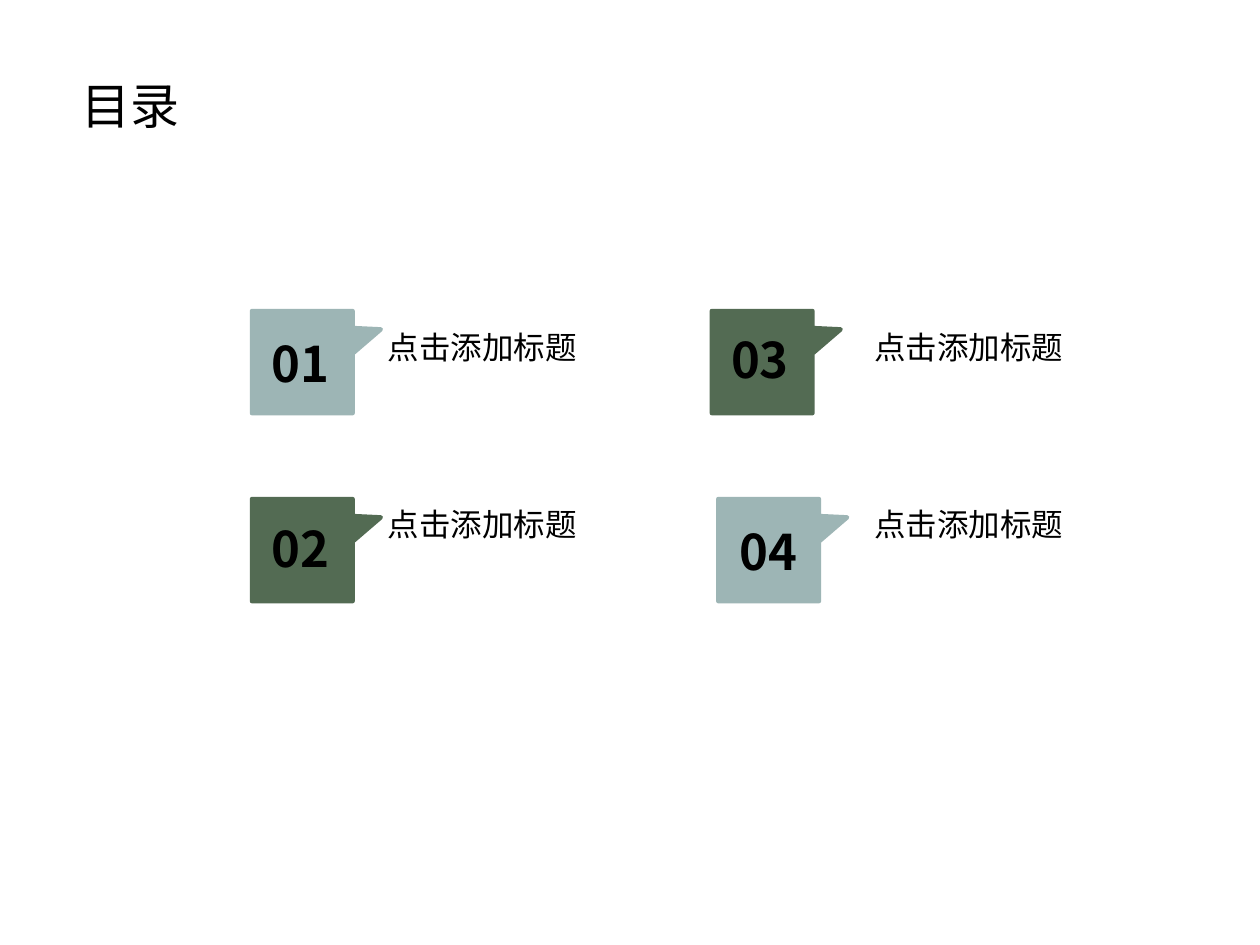
"""Build a contents slide with four numbered callouts."""
import pptx
import pptx.dml.color
import pptx.enum.shapes
import pptx.enum.text
import pptx.oxml
import pptx.oxml.ns
import pptx.util

Cm = pptx.util.Cm
Pt = pptx.util.Pt
Anchor = pptx.enum.text.MSO_ANCHOR
AutoSize = pptx.enum.text.MSO_AUTO_SIZE

TYPEFACE = "Noto Sans CJK SC"
BLACK, MIST, MOSS = "000000", "9DB5B5", "536B53"

HEADING = ("目录", (1.4, 1.4, 2.77, 1.45))
CALLOUT_SIZE = (2.03, 2.06)
NUMBER_SIZE = (2.24, 0.89)
TOPIC_SIZE = (4.32, 1.02)
CALLOUT_TIP = (0.78, -0.32)
TOPIC_LEFTS = (7.57, 17.37)
TOPIC_TOPS = (6.48, 10.06)
CALLOUT_TOPS = (6.27, 10.06)
ENTRIES = [
    ("01", "点击添加标题", MIST, 5.08, (4.93, 7.01)),
    ("02", "点击添加标题", MOSS, 5.08, (4.93, 10.74)),
    ("03", "点击添加标题", MOSS, 14.35, (14.2, 6.93)),
    ("04", "点击添加标题", MIST, 14.48, (14.38, 10.8)),
]

GROWING = {"auto_size": AutoSize.SHAPE_TO_FIT_TEXT}
HEADING_FORMAT = {
    "frame": {"word_wrap": True, **GROWING},
    "paragraph": {},
    "font": {"size": Pt(28)},
}
TOPIC_FORMAT = {
    "frame": {"word_wrap": False, **GROWING},
    "paragraph": {},
    "font": {"size": Pt(18)},
}
NUMBER_FORMAT = {
    "frame": {
        "word_wrap": True,
        "vertical_anchor": Anchor.MIDDLE,
        "margin_left": 0,
        "margin_top": 0,
        "margin_right": 0,
        "margin_bottom": 0,
    },
    "paragraph": {"alignment": pptx.enum.text.PP_ALIGN.CENTER, "line_spacing": 0.7},
    "font": {"size": Pt(28), "bold": True},
}


def color(value):
    return pptx.dml.color.RGBColor.from_string(value)


def apply(target, values):
    for name, value in values.items():
        setattr(target, name, value)


def add_words(slide, words, box, style):
    frame = slide.shapes.add_textbox(*map(Cm, box)).text_frame
    paragraph = frame.paragraphs[0]
    run = paragraph.add_run()
    run.text = words
    apply(frame, style["frame"])
    apply(paragraph, style["paragraph"])
    apply(run.font, {"name": TYPEFACE, **style["font"]})
    run.font.color.rgb = color(BLACK)
    east_asian = pptx.oxml.parse_xml(
        f'<a:ea {pptx.oxml.ns.nsdecls("a")} typeface="{TYPEFACE}"/>'
    )
    run.font._element.find(pptx.oxml.ns.qn("a:latin")).addnext(east_asian)


def add_callout(slide, box, tint):
    callout = slide.shapes.add_shape(
        pptx.enum.shapes.MSO_SHAPE.RECTANGULAR_CALLOUT, *map(Cm, box)
    )
    callout.shadow.inherit = False
    for index, offset in enumerate(CALLOUT_TIP):
        callout.adjustments[index] = offset
    for fill in (callout.fill, callout.line.fill):
        fill.solid()
        fill.fore_color.rgb = color(tint)
    callout.line.width = Pt(2.5)


def main():
    deck = pptx.Presentation()
    apply(deck, {"slide_width": Cm(25.4), "slide_height": Cm(19.05)})
    slide = deck.slides.add_slide(deck.slide_layouts[6])
    add_words(slide, *HEADING, HEADING_FORMAT)
    for position, (number, topic, tint, left, number_corner) in enumerate(ENTRIES):
        column, row = divmod(position, len(CALLOUT_TOPS))
        add_callout(slide, (left, CALLOUT_TOPS[row], *CALLOUT_SIZE), tint)
        add_words(slide, number, (*number_corner, *NUMBER_SIZE), NUMBER_FORMAT)
        topic_box = (TOPIC_LEFTS[column], TOPIC_TOPS[row], *TOPIC_SIZE)
        add_words(slide, topic, topic_box, TOPIC_FORMAT)
    deck.save("out.pptx")


if __name__ == "__main__":
    main()
